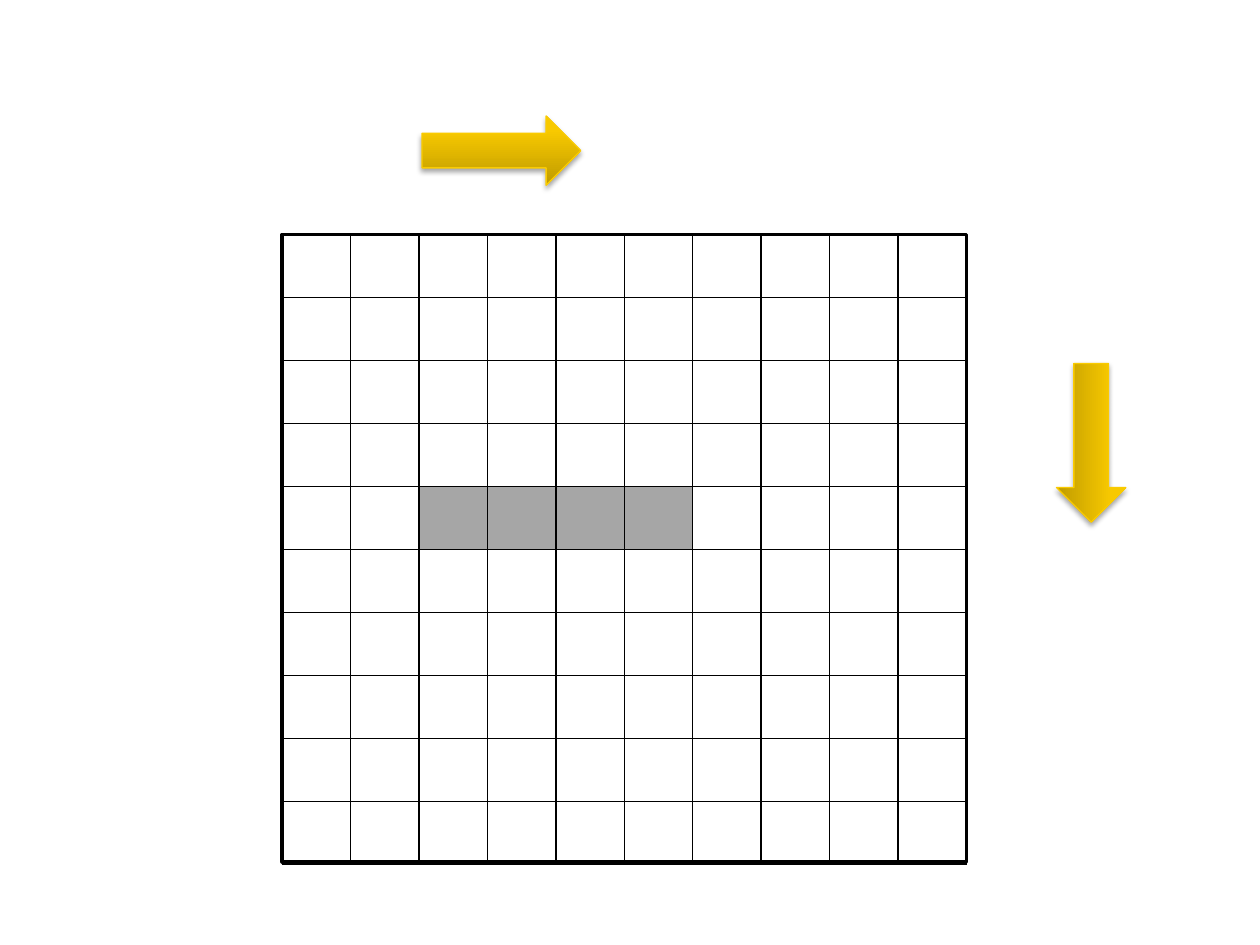
from lxml import etree
from pptx import Presentation
from pptx.dml.color import RGBColor
from pptx.enum.shapes import MSO_SHAPE
from pptx.oxml import parse_xml
from pptx.oxml.ns import nsdecls, qn
from pptx.util import Inches, Pt

RECTANGLE = MSO_SHAPE.RECTANGLE
RIGHT_ARROW = MSO_SHAPE.RIGHT_ARROW

COLORS = {"line": "000000", "marked": "A6A6A6", "edge": "FACB00", "shadow": "000000"}
GOLD_STOPS = [(0, "BF9B00"), (80, "F8C900"), (100, "F9CA00")]

SLIDE_WIDTH, SLIDE_HEIGHT = 10, 7.5
ROWS, COLUMNS = 10, 10
GRID_LEFT, GRID_TOP = 2.24, 1.86
GRID_WIDTH, ROW_HEIGHT = 5.43, 0.5
FRAME_HEIGHT = 4.98
MARKED_CELLS = [(4, column) for column in range(2, 6)]
ARROW_WIDTH, ARROW_HEIGHT = 1.26, 0.55
ARROWS = [(3.35, 0.92, 0), (8.03, 3.24, 90)]


def color(name):
    return RGBColor.from_string(COLORS[name])


def add_borders(cell):
    properties = cell._tc.get_or_add_tcPr()
    for side in ("lnL", "lnR", "lnT", "lnB"):
        properties.append(parse_xml(
            f'<a:{side} {nsdecls("a")} w="{Pt(1)}"><a:solidFill>'
            f'<a:srgbClr val="{COLORS["line"]}"/></a:solidFill></a:{side}>'))


def add_grid(slide):
    table = slide.shapes.add_table(
        ROWS, COLUMNS, Inches(GRID_LEFT), Inches(GRID_TOP),
        Inches(GRID_WIDTH), Inches(ROW_HEIGHT * ROWS)).table
    table.first_row = table.horz_banding = False
    for row in range(ROWS):
        for column in range(COLUMNS):
            cell = table.cell(row, column)
            add_borders(cell)
            if (row, column) in MARKED_CELLS:
                cell.fill.solid()
                cell.fill.fore_color.rgb = color("marked")
            else:
                cell.fill.background()


def add_frame(slide):
    frame = slide.shapes.add_shape(
        RECTANGLE, Inches(GRID_LEFT), Inches(GRID_TOP),
        Inches(GRID_WIDTH), Inches(FRAME_HEIGHT))
    frame.shadow.inherit = False
    frame.fill.background()
    frame.line.color.rgb = color("line")
    frame.line.width = Pt(2)


def add_arrow(slide, left, top, rotation):
    arrow = slide.shapes.add_shape(
        RIGHT_ARROW, Inches(left), Inches(top),
        Inches(ARROW_WIDTH), Inches(ARROW_HEIGHT))
    arrow.rotation = rotation
    arrow.line.color.rgb = color("edge")
    arrow.line.width = Pt(0.75)
    arrow.fill.gradient()
    arrow.fill.gradient_angle = 90
    properties = arrow._element.spPr
    stops = properties.find(".//" + qn("a:gsLst"))
    for stop in list(stops):
        stops.remove(stop)
    for position, shade in GOLD_STOPS:
        stop = etree.SubElement(stops, qn("a:gs"), pos=str(position * 1000))
        etree.SubElement(stop, qn("a:srgbClr"), val=shade)
    arrow.shadow.inherit = False
    properties.find(qn("a:effectLst")).append(parse_xml(
        f'<a:outerShdw {nsdecls("a")} blurRad="{Pt(3.1)}" dist="{Pt(1.8)}" '
        f'dir="5400000" rotWithShape="0"><a:srgbClr val="{COLORS["shadow"]}">'
        '<a:alpha val="35000"/></a:srgbClr></a:outerShdw>'))


def main():
    """Build a square grid with a marked run of cells and two direction arrows."""
    presentation = Presentation()
    presentation.slide_width = Inches(SLIDE_WIDTH)
    presentation.slide_height = Inches(SLIDE_HEIGHT)
    slide = presentation.slides.add_slide(presentation.slide_layouts[6])
    add_grid(slide)
    add_frame(slide)
    for left, top, rotation in ARROWS:
        add_arrow(slide, left, top, rotation)
    presentation.save("out.pptx")


if __name__ == "__main__":
    main()
